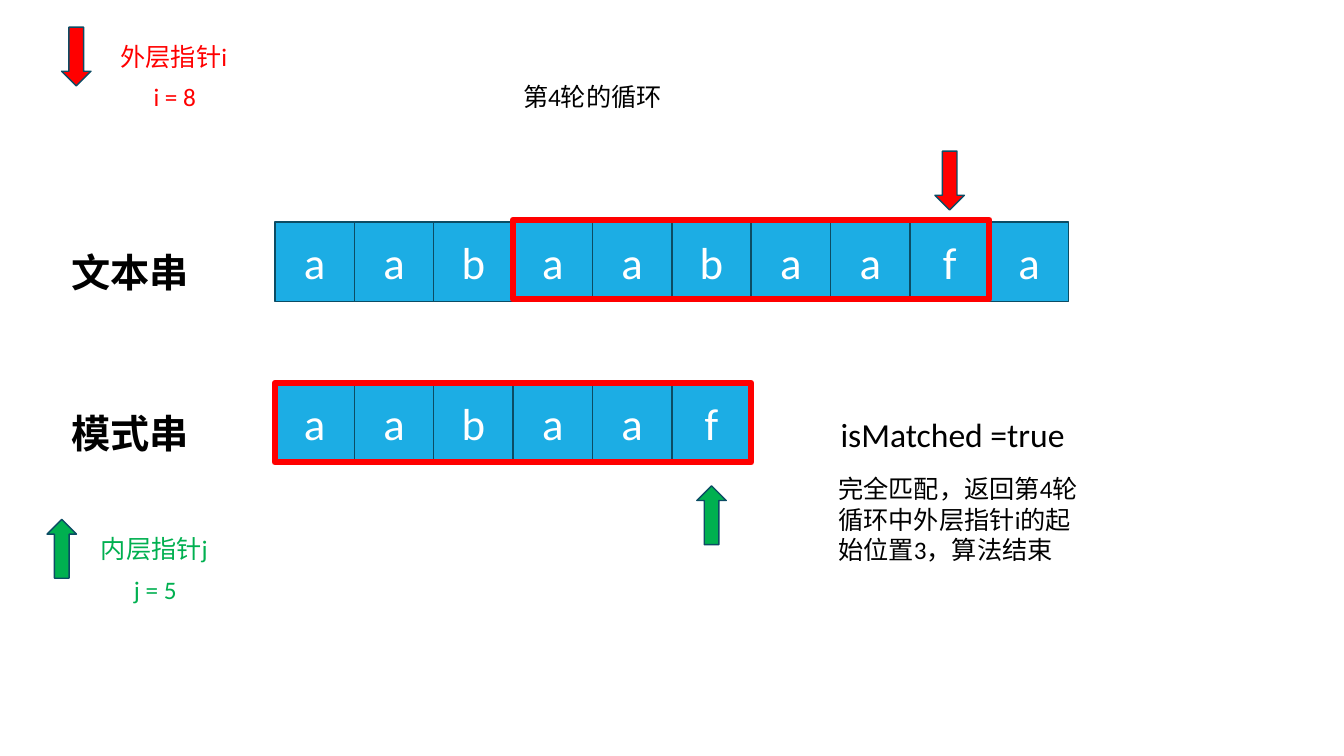
from dataclasses import dataclass

from pptx import Presentation
from pptx.dml.color import RGBColor
from pptx.enum.shapes import MSO_SHAPE
from pptx.enum.text import MSO_ANCHOR, MSO_AUTO_SIZE, PP_ALIGN
from pptx.util import Pt


@dataclass(frozen=True)
class Theme:
    font: str = "Calibri"
    black: str = "000000"
    white: str = "FFFFFF"
    cell: str = "1CADE4"
    outline: str = "0C4C64"
    outer: str = "FF0000"
    inner: str = "00B050"
    body: int = 18
    result: int = 24
    heading: int = 28
    letter: int = 32
    thin: float = 1
    thick: float = 4.5


CELL = 56.7
ROW_LEFT = 196.4
TEXT_TOP = 158.6
PATTERN_TOP = 273.6
ARROW_WIDTH = 21
ARROW_HEIGHT = 42


def write(text_frame, text, theme, size, color, bold=False, align=PP_ALIGN.LEFT):
    paragraph = text_frame.paragraphs[0]
    paragraph.alignment = align
    run = paragraph.add_run()
    run.text = text
    run.font.name = theme.font
    run.font.size = Pt(size)
    run.font.bold = bold
    run.font.color.rgb = RGBColor.from_string(color)


class Board:
    def __init__(self, slide, theme):
        self.slide = slide
        self.theme = theme

    def shape(self, kind, left, top, width, height, fill, line, weight):
        shape = self.slide.shapes.add_shape(kind, Pt(left), Pt(top), Pt(width), Pt(height))
        shape.shadow.inherit = False
        if fill:
            shape.fill.solid()
            shape.fill.fore_color.rgb = RGBColor.from_string(fill)
        else:
            shape.fill.background()
        shape.line.color.rgb = RGBColor.from_string(line)
        shape.line.width = Pt(weight)
        return shape

    def label(self, text, left, top, width, height, size=None, color=None, bold=False, wrap=True):
        box = self.slide.shapes.add_textbox(Pt(left), Pt(top), Pt(width), Pt(height))
        box.text_frame.word_wrap = wrap
        box.text_frame.auto_size = MSO_AUTO_SIZE.SHAPE_TO_FIT_TEXT
        write(box.text_frame, text, self.theme, size or self.theme.body,
              color or self.theme.black, bold)

    def cells(self, letters, top):
        for index, letter in enumerate(letters):
            cell = self.shape(MSO_SHAPE.RECTANGLE, ROW_LEFT + index * CELL, top, CELL, CELL,
                              self.theme.cell, self.theme.outline, self.theme.thin)
            cell.text_frame.vertical_anchor = MSO_ANCHOR.MIDDLE
            write(cell.text_frame, letter, self.theme, self.theme.letter,
                  self.theme.white, align=PP_ALIGN.CENTER)

    def frame(self, start, count, top):
        self.shape(MSO_SHAPE.RECTANGLE, ROW_LEFT + start * CELL, top, count * CELL, CELL,
                   None, self.theme.outer, self.theme.thick)

    def arrow(self, left, top, color, rotation=0):
        arrow = self.shape(MSO_SHAPE.DOWN_ARROW, left, top, ARROW_WIDTH, ARROW_HEIGHT,
                           color, self.theme.outline, self.theme.thin)
        arrow.rotation = rotation

    def pointer(self, index, top, color, rotation=0):
        left = ROW_LEFT + (index + 0.5) * CELL - ARROW_WIDTH / 2
        self.arrow(left, top, color, rotation)

    def legend(self, name, value, left, top, color):
        self.label(name, left, top, 91.4, 29, color=color)
        self.label(value, left + 23.6, top + 29, 45.4, 29, color=color, wrap=False)


def main():
    presentation = Presentation()
    presentation.slide_width = Pt(960)
    presentation.slide_height = Pt(540)
    slide = presentation.slides.add_slide(presentation.slide_layouts[6])
    theme = Theme()
    board = Board(slide, theme)
    text, pattern = "aabaabaafa", "aabaaf"
    outer_index, inner_index = 8, 5
    start = outer_index - inner_index

    for heading, letters, top in (("文本串", text, TEXT_TOP), ("模式串", pattern, PATTERN_TOP)):
        board.label(heading, 44, top + 15, 99.4, 41, size=theme.heading, bold=True, wrap=False)
        board.cells(letters, top)

    board.arrow(44, 19.4, theme.outer)
    board.legend("外层指针i", "i = 8", 79, 25.8, theme.outer)
    board.pointer(outer_index, 108, theme.outer)
    board.pointer(inner_index, 347, theme.inner, rotation=180)
    board.arrow(33.6, 371, theme.inner, rotation=180)
    board.legend("内层指针j", "j = 5", 65, 377.5, theme.inner)

    board.label("isMatched =true", 593.3, 291.8, 176.4, 36, size=theme.result, wrap=False)
    board.label("第4轮的循环", 366.5, 54.7, 114.5, 29)
    board.label("完全匹配，返回第4轮循环中外层指针i的起始位置3，算法结束", 591.8, 334.8, 194.4, 72.7)

    board.frame(start, len(pattern), TEXT_TOP - 1.6)
    board.frame(0, len(pattern), PATTERN_TOP)
    presentation.save("out.pptx")


if __name__ == "__main__":
    main()
